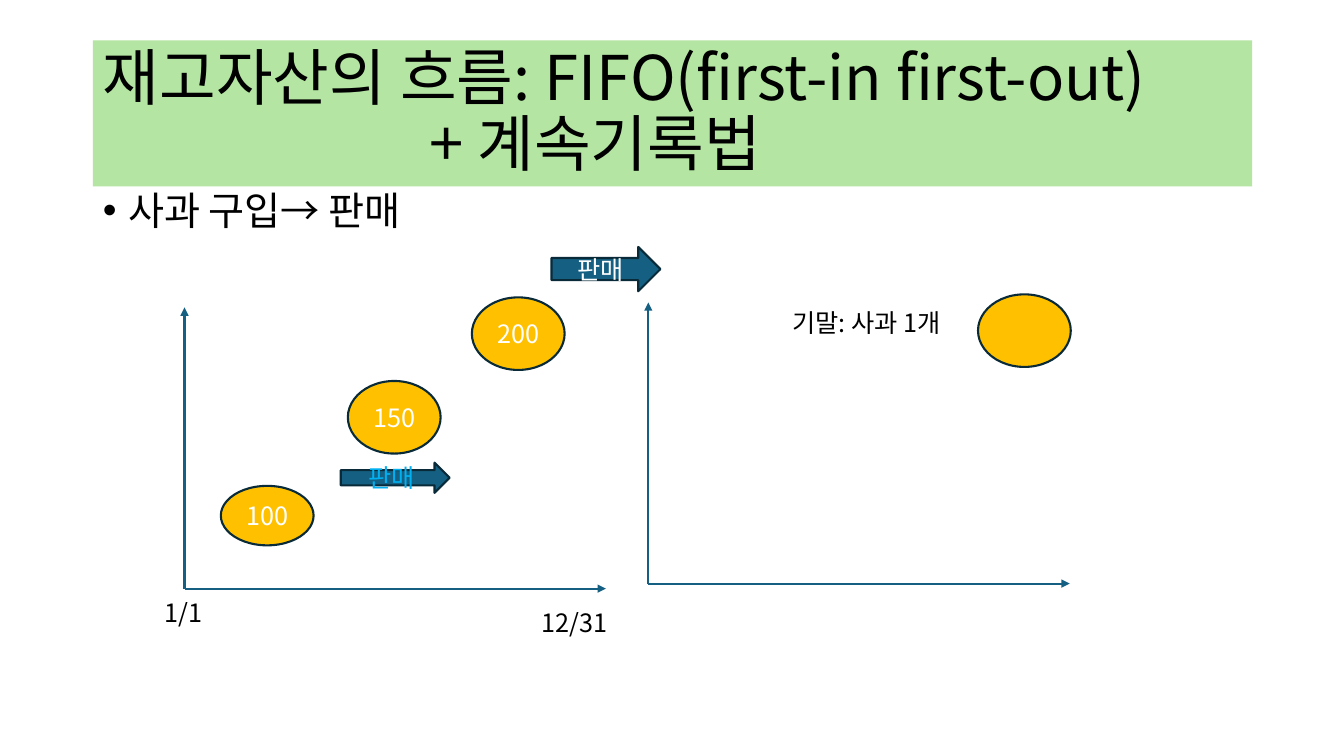
import pptx
import pptx.util
import pptx.dml.color
import pptx.enum.shapes
import pptx.enum.text
import pptx.oxml
import pptx.oxml.ns

PX = 9144
FONT = "Noto Sans CJK KR"
SHAPES = pptx.enum.shapes.MSO_SHAPE
ALIGN = pptx.enum.text.PP_ALIGN
ANCHOR = pptx.enum.text.MSO_ANCHOR


def color(value):
    return pptx.dml.color.RGBColor.from_string(value)


def write(shape, lines, size, ink, anchor=ANCHOR.TOP, **formats):
    frame = shape.text_frame
    settings = {"word_wrap": True, "vertical_anchor": anchor,
                "auto_size": pptx.enum.text.MSO_AUTO_SIZE.NONE}
    for name, value in settings.items():
        setattr(frame, name, value)
    for index, line in enumerate(lines):
        para = frame.add_paragraph() if index else frame.paragraphs[0]
        for name, value in formats.items():
            setattr(para, name, value)
        span = para.add_run()
        span.text = line
        for name, value in {"name": FONT, "size": pptx.util.Pt(size)}.items():
            setattr(span.font, name, value)
        span.font.color.rgb = color(ink)
        east_asian = pptx.oxml.ns.qn("a:ea")
        span.font._element.makeelement(east_asian, {})
        pptx.oxml.xmlchemy.OxmlElement("a:ea")
        element = span.font._element.makeelement(east_asian, {"typeface": FONT})
        span.font._element.find(pptx.oxml.ns.qn("a:latin")).addnext(element)


deck = pptx.Presentation()
deck.slide_width = 1333 * PX
deck.slide_height = 750 * PX
page = deck.slides.add_slide(deck.slide_layouts[1])

title, body = page.placeholders
for holder, top, height in [(title, 40, 145), (body, 185, 476)]:
    place = {"left": 92, "top": top, "width": 1150, "height": height}
    for name, value in place.items():
        setattr(holder, name, value * PX)

title.fill.solid()
title.fill.fore_color.rgb = color("B4E5A2")
spacing = {"line_spacing": 0.9, "space_before": pptx.util.Pt(0), "alignment": ALIGN.LEFT}
write(title, ["재고자산의 흐름: FIFO(first-in first-out)", "+ 계속기록법"],
      44, "000000", ANCHOR.MIDDLE, **spacing)
title.text_frame.paragraphs[1]._p.get_or_add_pPr().set("marL", str(324 * PX))

write(body, ["사과 구입→ 판매"], 28, "000000", **spacing)
bullet = body.text_frame.paragraphs[0]._p.get_or_add_pPr()
for name, value in {"marL": 25, "indent": -25}.items():
    bullet.set(name, str(value * PX))
bullet.append(bullet.makeelement(pptx.oxml.ns.qn("a:buChar"), {"char": "•"}))

for left, base in [(183, 584), (643, 579)]:
    for right, top in [(left + 418, base), (left, base - 279)]:
        axis = page.shapes.add_connector(
            pptx.enum.shapes.MSO_CONNECTOR.STRAIGHT,
            left * PX, base * PX, right * PX, top * PX)
        axis.line.color.rgb = color("156082")
        axis.line.width = pptx.util.Pt(1.5)
        outline = axis.line._get_or_add_ln()
        outline.append(outline.makeelement(pptx.oxml.ns.qn("a:tailEnd"), {"type": "triangle"}))
        properties = axis._element.spPr
        properties.append(properties.makeelement(pptx.oxml.ns.qn("a:effectLst"), {}))

labels = [
    ("기말: 사과 1개", 776, 300, 257),
    ("12/31", 527, 598, 85),
    ("1/1", 153, 588, 85),
]
for text, left, top, width in labels:
    label = page.shapes.add_textbox(left * PX, top * PX, width * PX, 40 * PX)
    write(label, [text], 18, "000000")

APPLE = (SHAPES.OVAL, "FFC000", 92)
SALE = (SHAPES.RIGHT_ARROW, "156082", 108)
items = [
    (APPLE, "100", 219, 482, 59, "FFFFFF"),
    (APPLE, "150", 345, 378, 72, "FFFFFF"),
    (APPLE, "200", 468, 295, 72, "FFFFFF"),
    (APPLE, "", 970, 292, 72, "FFFFFF"),
    (SALE, "판매", 338, 459, 30, "00B0F0"),
    (SALE, "판매", 547, 245, 44, "FFFFFF"),
]
for (kind, fill, width), text, left, top, height, ink in items:
    item = page.shapes.add_shape(kind, left * PX, top * PX, width * PX, height * PX)
    item.shadow.inherit = False
    item.fill.solid()
    item.fill.fore_color.rgb = color(fill)
    item.line.color.rgb = color("092A39")
    item.line.width = pptx.util.Pt(1.5)
    if text:
        write(item, [text], 18, ink, ANCHOR.MIDDLE, alignment=ALIGN.CENTER)

deck.save("out.pptx")
